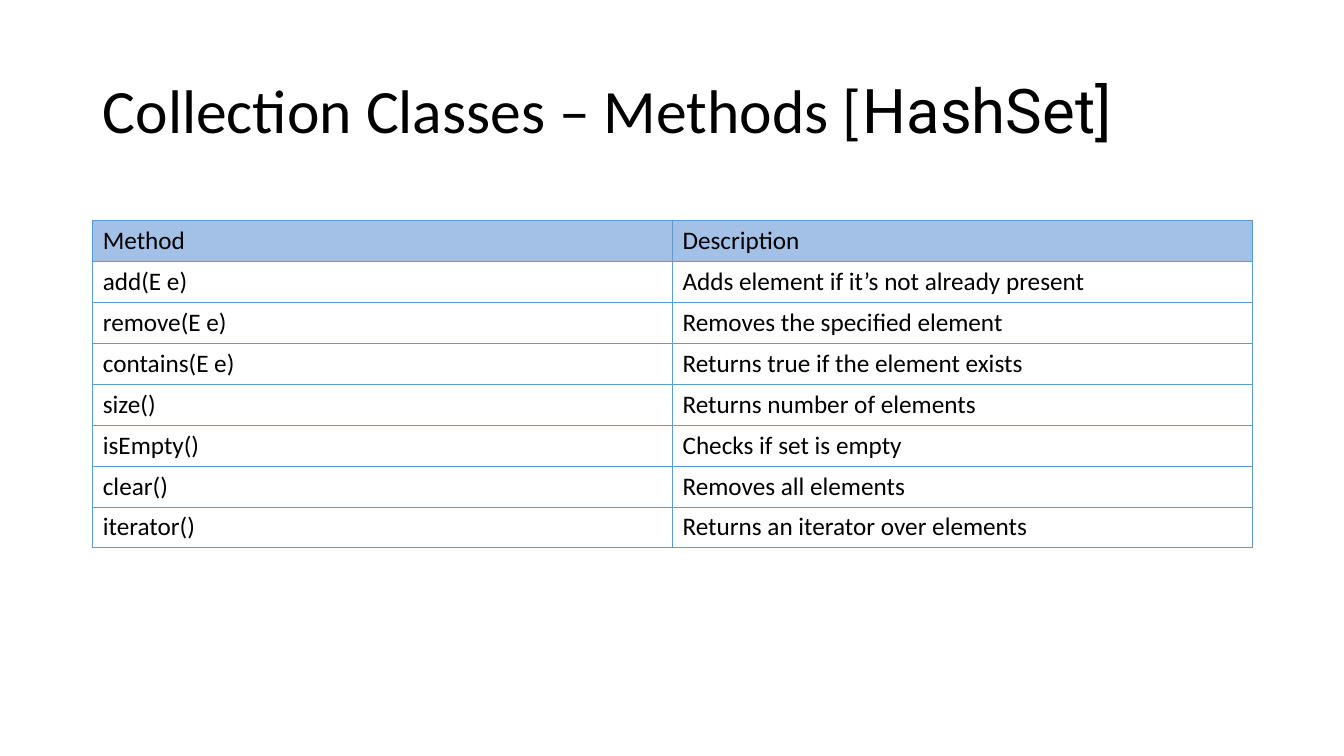
import dataclasses

import lxml.etree
import pptx
import pptx.dml.color
import pptx.enum.text
import pptx.oxml.ns
import pptx.util

Inches = pptx.util.Inches
ANCHOR = pptx.enum.text.MSO_ANCHOR


@dataclasses.dataclass(frozen=True)
class Theme:
    text: str = "000000"
    header: str = "A3C0E6"
    body: str = "FFFFFF"
    border: str = "5B9BD5"
    border_width: float = 0.5
    font: str = "Calibri"
    accent_font: str = "Roboto"
    title_size: int = 44
    table_size: int = 18


THEME = Theme()

METHODS = [
    ("Method", "Description"),
    ("add(E e)", "Adds element if it’s not already present"),
    ("remove(E e)", "Removes the specified element"),
    ("contains(E e)", "Returns true if the element exists"),
    ("size()", "Returns number of elements"),
    ("isEmpty()", "Checks if set is empty"),
    ("clear()", "Removes all elements"),
    ("iterator()", "Returns an iterator over elements"),
]


def rgb(color):
    return pptx.dml.color.RGBColor.from_string(color)


def add_span(para, text, size, font):
    span = para.add_run()
    span.text = text
    span.font.size = pptx.util.Pt(size)
    span.font.name = font
    span.font.color.rgb = rgb(THEME.text)


def set_borders(cell):
    """Draw the four cell borders, placed ahead of the fill as the schema asks."""
    properties = cell._tc.get_or_add_tcPr()
    qn = pptx.oxml.ns.qn
    for index, side in enumerate(("lnL", "lnR", "lnT", "lnB")):
        line = lxml.etree.Element(qn(f"a:{side}"))
        line.set("w", str(pptx.util.Pt(THEME.border_width)))
        fill = lxml.etree.SubElement(line, qn("a:solidFill"))
        lxml.etree.SubElement(fill, qn("a:srgbClr")).set("val", THEME.border)
        properties.insert(index, line)


def place_title(slide, left, top, width, height):
    title = slide.shapes.title
    title.left, title.top = Inches(left), Inches(top)
    title.width, title.height = Inches(width), Inches(height)
    frame = title.text_frame
    frame.word_wrap = True
    frame.auto_size = pptx.enum.text.MSO_AUTO_SIZE.NONE
    frame.vertical_anchor = ANCHOR.MIDDLE
    para = frame.paragraphs[0]
    para.alignment = pptx.enum.text.PP_ALIGN.LEFT
    para.line_spacing = 0.9
    add_span(para, "Collection Classes – Methods [", THEME.title_size, THEME.font)
    add_span(para, "HashSet]", THEME.title_size, THEME.accent_font)


def place_method_table(slide, left, top, width, height):
    table = slide.shapes.add_table(
        len(METHODS), len(METHODS[0]),
        Inches(left), Inches(top), Inches(width), Inches(height),
    ).table
    table.first_row = False
    table.horz_banding = False
    for row_index, texts in enumerate(METHODS):
        for column_index, text in enumerate(texts):
            cell = table.cell(row_index, column_index)
            cell.vertical_anchor = ANCHOR.MIDDLE
            cell.fill.solid()
            cell.fill.fore_color.rgb = rgb(THEME.body if row_index else THEME.header)
            set_borders(cell)
            para = cell.text_frame.paragraphs[0]
            add_span(para, text, THEME.table_size, THEME.font)


def main():
    deck = pptx.Presentation()
    deck.slide_width, deck.slide_height = Inches(13.33), Inches(7.5)
    slide = deck.slides.add_slide(deck.slide_layouts.get_by_name("Title Only"))
    place_title(slide, 0.92, 0.4, 11.5, 1.45)
    place_method_table(slide, 0.92, 2.19, 11.5, 3.2)
    deck.save("out.pptx")


if __name__ == "__main__":
    main()
